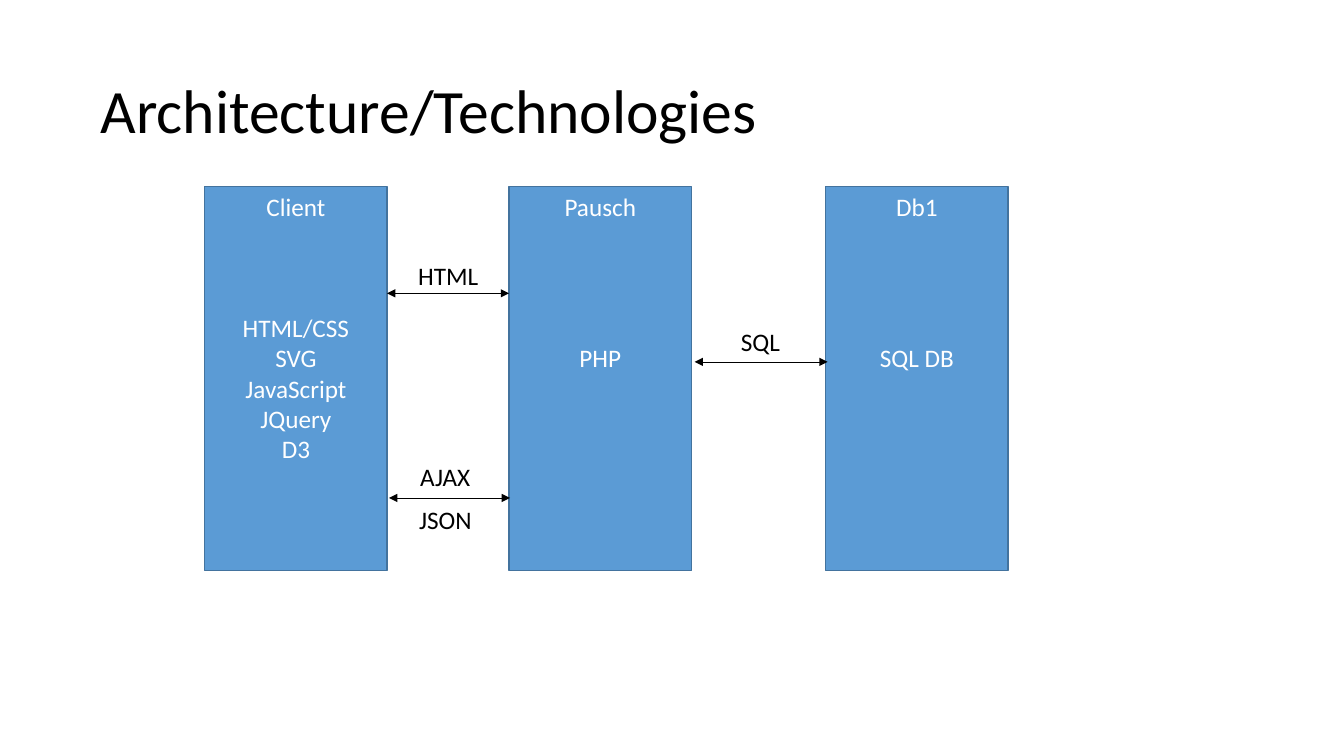
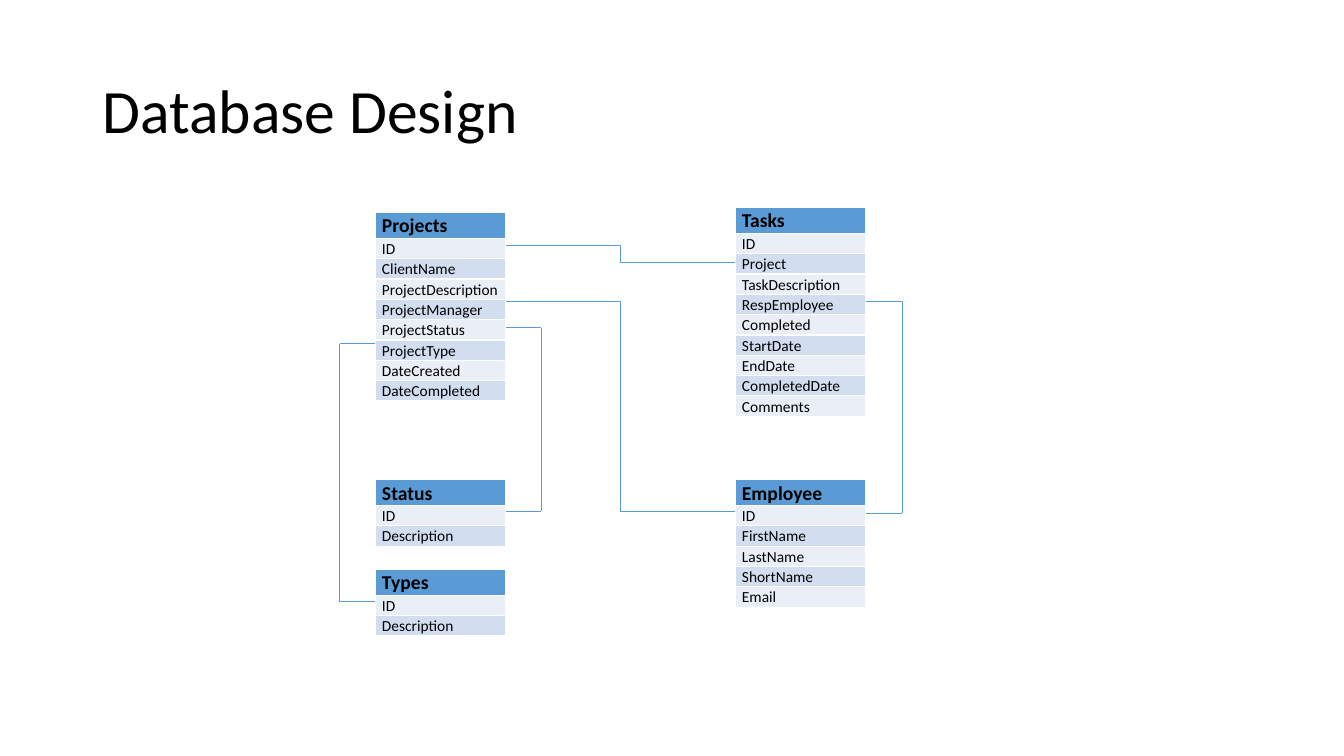
from itertools import cycle
from lxml.etree import SubElement
from pptx import Presentation
from pptx.dml.color import RGBColor
from pptx.enum.shapes import MSO_CONNECTOR, MSO_SHAPE
from pptx.enum.text import MSO_ANCHOR, PP_ALIGN
from pptx.oxml.ns import qn
from pptx.util import Inches, Pt

# Shared look
BLUE, EDGE, PALE, MID = "5B9BD5", "43739E", "EAEFF7", "D2DEEF"
BLACK, WHITE = "000000", "FFFFFF"
FONT = "Calibri"
LINE = 21.6  # height of one 18 pt line
rgb = RGBColor.from_string

deck = Presentation()
deck.slide_width, deck.slide_height = Inches(13.33), Inches(7.5)
col, row = deck.slide_width / 100, deck.slide_height / 100


def at(*spots):
    """Turn x, y pairs given in percent of the slide into lengths."""
    return [int(n * unit) for n, unit in zip(spots, cycle((col, row)))]


def write(frame, text, size=18, color=BLACK, bold=False, align=PP_ALIGN.LEFT,
          anchor=MSO_ANCHOR.TOP, pitch=None, gap=0):
    """Write one paragraph per line; gap is the space before the second."""
    frame.word_wrap = True
    frame.vertical_anchor = anchor
    for i, words in enumerate(text.split("\n")):
        para = frame.add_paragraph() if i else frame.paragraphs[0]
        para.alignment, para.line_spacing = align, pitch
        if i == 1:
            para.space_before = Pt(gap)
        run = para.add_run()
        run.text = words
        font = run.font
        font.name, font.size, font.bold = FONT, Pt(size), bold
        font.color.rgb = rgb(color)


# Slides with their titles
pages = []
for title, left in (("Architecture/Technologies", 6.75), ("Database Design", 6.9)):
    page = deck.slides.add_slide(deck.slide_layouts[6])
    box = page.shapes.add_textbox(*at(left, 5.33, 86.25, 19.33))
    write(box.text_frame, title, size=44, anchor=MSO_ANCHOR.MIDDLE, pitch=0.9)
    pages.append(page)
arch, base = pages

# Tiers: left, text, blank lines under the name
tiers = (
    (15.23, "Client\nHTML/CSS\nSVG\nJavaScript\nJQuery\nD3", 3),
    (37.88, "Pausch\nPHP", 4),
    (61.43, "Db1\nSQL DB", 4),
)
for left, text, skip in tiers:
    tier = arch.shapes.add_shape(MSO_SHAPE.RECTANGLE, *at(left, 24.67, 13.58, 50.8))
    tier.shadow.inherit = False
    tier.fill.solid()
    tier.fill.fore_color.rgb = rgb(BLUE)
    tier.line.color.rgb = rgb(EDGE)
    tier.line.width = Pt(1)
    write(tier.text_frame, text, color=WHITE, align=PP_ALIGN.CENTER, gap=skip * LINE)

# Names of the links between tiers
for text, left, top in (("HTML", 30.38, 33.73), ("AJAX", 30.53, 60.4),
                        ("JSON", 30.45, 66), ("SQL", 54.38, 42.53)):
    box = arch.shapes.add_textbox(*at(left, top, 7, 5.33))
    write(box.text_frame, text)

# Database tables: left, top, name and fields
NEAR, FAR, WIDE = 27.9, 54.68, 9.75
HEAD, STEP = 3.4, 2.69
tables = (
    (NEAR, 28.13, "Projects ID ClientName ProjectDescription ProjectManager "
                  "ProjectStatus ProjectType DateCreated DateCompleted"),
    (FAR, 27.47, "Tasks ID Project TaskDescription RespEmployee Completed "
                 "StartDate EndDate CompletedDate Comments"),
    (FAR, 63.47, "Employee ID FirstName LastName ShortName Email"),
    (NEAR, 75.33, "Types ID Description"),
    (NEAR, 63.47, "Status ID Description"),
)
for left, top, text in tables:
    names = text.split()
    tall = HEAD + STEP * (len(names) - 1)
    grid = base.shapes.add_table(len(names), 1, *at(left, top, WIDE, tall)).table
    for i, name in enumerate(names):
        grid.rows[i].height = int((STEP if i else HEAD) * row)
        cell = grid.cell(i, 0)
        cell.margin_left = cell.margin_right = Inches(0.07)
        cell.margin_top = cell.margin_bottom = 0
        # White cell borders go ahead of the fill
        props = cell._tc.get_or_add_tcPr()
        for side in ("lnL", "lnR", "lnT", "lnB"):
            rim = SubElement(props, qn(f"a:{side}"), w=str(Pt(1)))
            SubElement(SubElement(rim, qn("a:solidFill")), qn("a:srgbClr"), val=WHITE)
        cell.fill.solid()
        cell.fill.fore_color.rgb = rgb((MID, PALE)[i % 2] if i else BLUE)
        write(cell.text_frame, name, size=11 if i else 14, bold=not i, pitch=1.07)

# Lines: slide, kind, ends, colour
flat, bent = MSO_CONNECTOR.STRAIGHT, MSO_CONNECTOR.ELBOW
SIDE = NEAR + WIDE
lines = [
    (arch, flat, (28.8, 38.8, 37.88, 38.8), BLACK),
    (arch, flat, (28.95, 65.87, 37.95, 65.87), BLACK),
    (arch, flat, (51.68, 47.87, 61.58, 47.87), BLACK),
    (base, bent, (SIDE, 32.4, FAR, 34.67), BLUE),
    (base, bent, (SIDE, 39.87, FAR, 67.6), BLUE),
]
# Brackets joining two tables: table edge, rail, top, bottom
for edge, rail, top, low in ((SIDE, 40.28, 43.33, 67.6),
                             (NEAR, 25.28, 45.47, 79.6),
                             (FAR + WIDE, 67.13, 39.87, 67.87)):
    for ends in ((edge, top, rail, top), (edge, low, rail, low), (rail, top, rail, low)):
        lines.append((base, flat, ends, BLUE))

for page, kind, ends, color in lines:
    wire = page.shapes.add_connector(kind, *at(*ends))
    wire.line.color.rgb = rgb(color)
    wire.line.width = Pt(0.5)
    if page is arch:
        for tip in ("headEnd", "tailEnd"):
            SubElement(wire.line._get_or_add_ln(), qn(f"a:{tip}"), type="triangle")
    SubElement(wire._element.spPr, qn("a:effectLst"))

deck.save("out.pptx")
